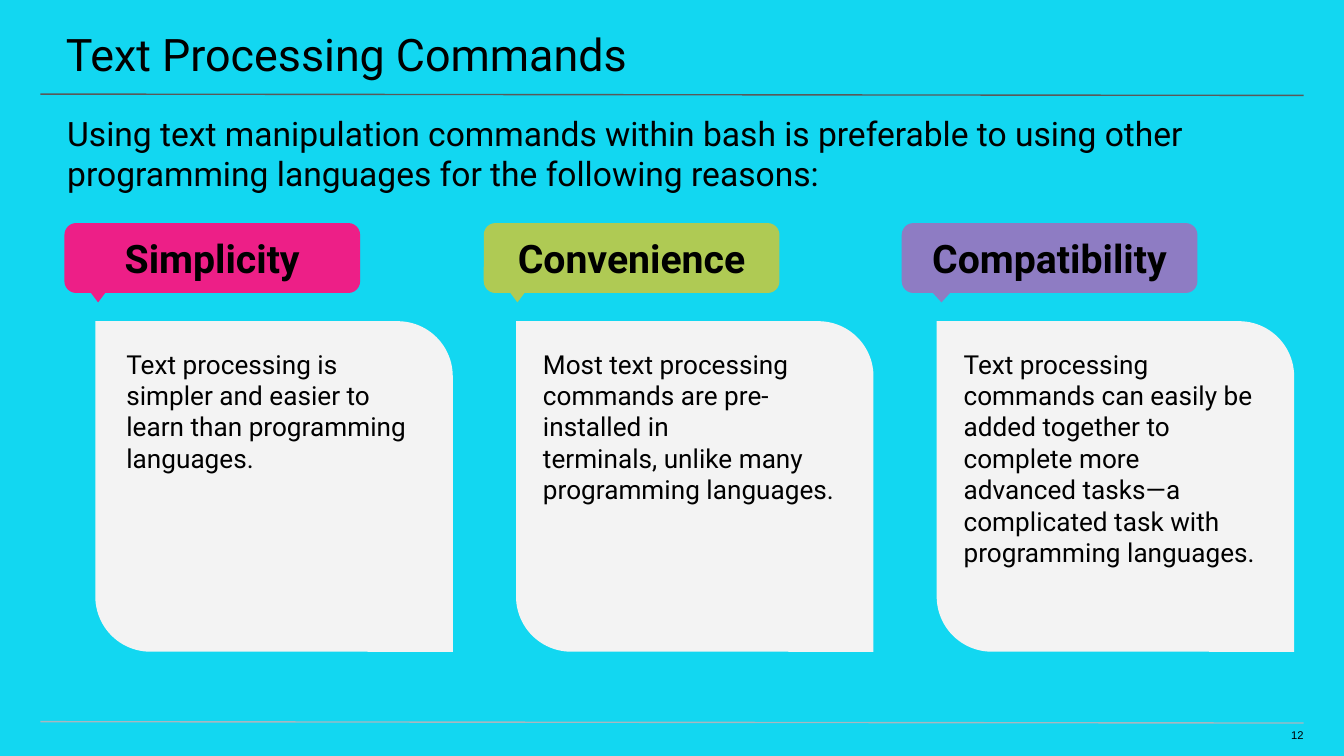
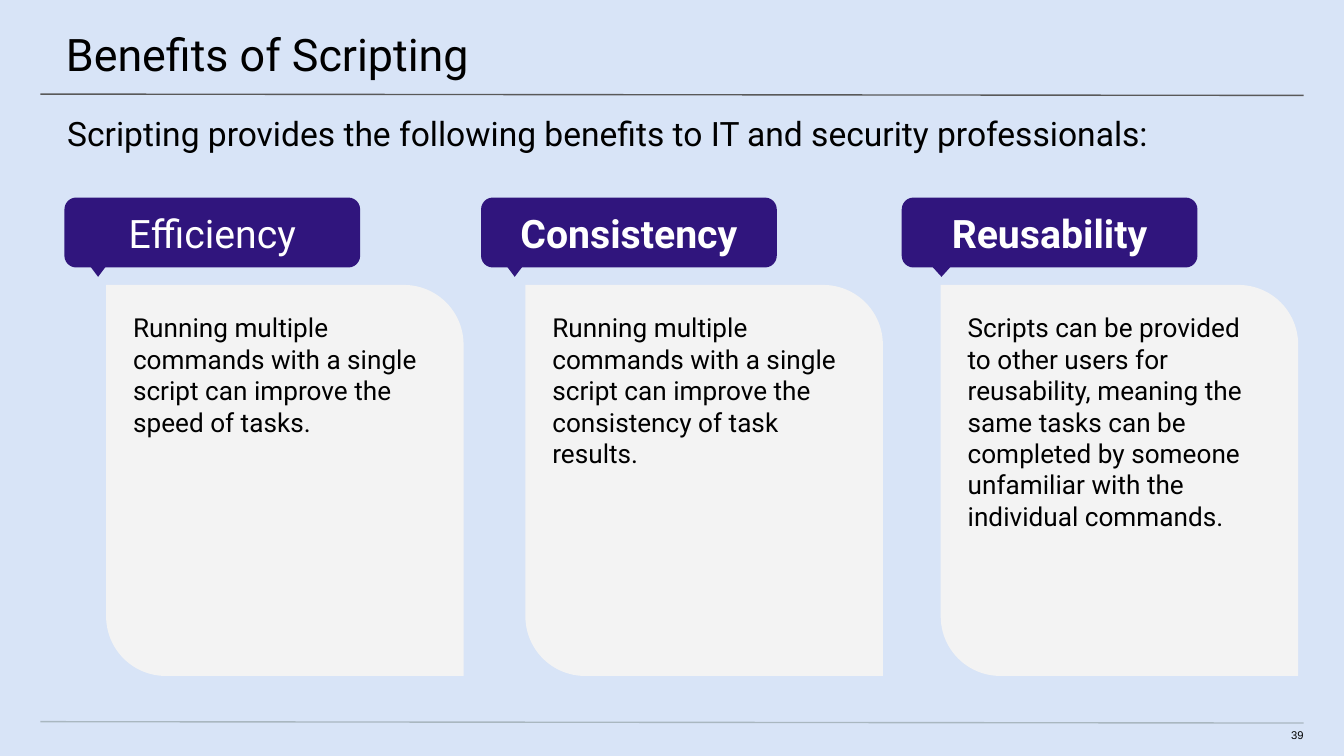
import pptx
import pptx.util
import pptx.dml.color
import pptx.enum.shapes
import pptx.enum.text
from lxml import etree

Inches = pptx.util.Inches
SHAPE = pptx.enum.shapes.MSO_SHAPE
ALIGN = pptx.enum.text.PP_ALIGN
ANCHOR = pptx.enum.text.MSO_ANCHOR
A = "{http://schemas.openxmlformats.org/drawingml/2006/main}"

COLORS = {
    "cyan": "12D7F1", "pale": "D8E4F7", "pink": "ED1F87", "green": "AFCA54",
    "violet": "8E7CC3", "navy": "30157D", "card": "F3F3F3", "black": "000000",
    "white": "FFFFFF", "rule": "595959", "foot": "A9B7C0",
}
RULES = [(0.7, "rule"), (5.37, "foot")]
TIPS = [(0.13, 0.24), (0.13, 0.24), (0.15, 0.29)]
SLIDES = [
    {
        "title": "Text Processing Commands",
        "lead": "Using text manipulation commands within bash is preferable to "
                "using other programming languages for the following reasons:",
        "page": "12", "back": "cyan", "ink": "black",
        "tag_top": 1.66, "card_top": 2.39, "card_high": 2.46,
        "columns": [
            {"tag": "Simplicity", "fill": "pink", "bold": True,
             "tag_x": 0.48, "card_x": 0.71, "text_x": 0.74,
             "text": "Text processing is simpler and easier to learn than "
                     "programming languages."},
            {"tag": "Convenience", "fill": "green", "bold": True,
             "tag_x": 3.6, "card_x": 3.84, "text_x": 3.84,
             "text": "Most text processing commands are pre-installed in \v"
                     "terminals, unlike many programming languages."},
            {"tag": "Compatibility", "fill": "violet", "bold": True,
             "tag_x": 6.71, "card_x": 6.97, "text_x": 6.97,
             "text": "Text processing commands can easily be added together to "
                     "complete more advanced tasks—a complicated task with "
                     "programming languages."},
        ],
    },
    {
        "title": "Benefits of Scripting",
        "lead": "Scripting provides the following benefits to IT and security "
                "professionals:",
        "page": "39", "back": "pale", "ink": "white",
        "tag_top": 1.47, "card_top": 2.12, "card_high": 2.91,
        "columns": [
            {"tag": "Efficiency", "fill": "navy", "bold": False,
             "tag_x": 0.48, "card_x": 0.79, "text_x": 0.79,
             "text": "Running multiple commands with a single script can "
                     "improve the speed of tasks."},
            {"tag": "Consistency", "fill": "navy", "bold": True,
             "tag_x": 3.58, "card_x": 3.91, "text_x": 3.91,
             "text": "Running multiple commands with a single script can "
                     "improve the consistency of task results."},
            {"tag": "Reusability", "fill": "navy", "bold": True,
             "tag_x": 6.71, "card_x": 7, "text_x": 7,
             "text": "Scripts can be provided to other users for reusability, "
                     "meaning the same tasks can be completed by someone "
                     "unfamiliar with the individual commands."},
        ],
    },
]


def rgb(name):
    return pptx.dml.color.RGBColor.from_string(COLORS[name])


def place(shape, box):
    shape.left, shape.top, shape.width, shape.height = map(Inches, box)


def write(shape, text, size, pads, color="black", bold=False,
          align=ALIGN.LEFT, anchor=ANCHOR.TOP, face="Roboto"):
    frame = shape.text_frame
    frame.text = text
    frame.word_wrap = True
    frame.auto_size = pptx.enum.text.MSO_AUTO_SIZE.NONE
    frame.vertical_anchor = anchor
    (frame.margin_left, frame.margin_top,
     frame.margin_right, frame.margin_bottom) = map(Inches, pads)
    para = frame.paragraphs[0]
    para.alignment = align
    para.space_before = pptx.util.Pt(0)
    props = para._p.get_or_add_pPr()
    props.set("marL", "0")
    props.set("indent", "0")
    etree.SubElement(props, A + "buNone")
    for run in para.runs:
        run.font.name = face
        run.font.size = pptx.util.Pt(size)
        run.font.bold = bold
        run.font.color.rgb = rgb(color)


def fill_holder(holder, box, text, size, pads):
    place(holder, box)
    write(holder, text, size, pads)
    holder._element.getparent().append(holder._element)


def add_solid(shapes, kind, box, fill):
    shape = shapes.add_shape(kind, *map(Inches, box))
    shape.shadow.inherit = False
    shape.fill.solid()
    shape.fill.fore_color.rgb = rgb(fill)
    shape.line.fill.background()
    return shape


def add_rule(slide, top, color):
    rule = slide.shapes.add_connector(
        pptx.enum.shapes.MSO_CONNECTOR.STRAIGHT,
        *map(Inches, (0.3, top, 9.7, top + 0.01)))
    rule.line.color.rgb = rgb(color)
    rule.line.width = pptx.util.Pt(0.75)
    etree.SubElement(rule._element.spPr, A + "effectLst")


def add_card(slide, data, col, holder):
    top, high = data["card_top"], data["card_high"]
    card = add_solid(slide.shapes, SHAPE.ROUND_2_DIAG_RECTANGLE,
                     (col["card_x"], top, 2.66, high), "card")
    card.adjustments[0] = 0.167
    card.adjustments[1] = 0
    card._element.spPr.find(A + "xfrm").set("flipH", "1")
    fill_holder(holder, (col["text_x"], top, 2.59, high), col["text"], 14, [0.2] * 4)


def add_tag(slide, data, col, tip_at):
    group = slide.shapes.add_group_shape()
    left, top = col["tag_x"], data["tag_top"]
    tag = add_solid(group.shapes, SHAPE.ROUNDED_RECTANGLE,
                    (left, top, 2.2, 0.52), col["fill"])
    tag.adjustments[0] = 0.167
    write(tag, col["tag"], 21, [0.1] * 4, data["ink"], col["bold"],
          ALIGN.CENTER, ANCHOR.MIDDLE)
    shift, wide = tip_at
    tip = add_solid(group.shapes, SHAPE.FLOWCHART_EXTRACT,
                    (left + shift, top + 0.43, wide, 0.16), col["fill"])
    tip.rotation = 180


def add_slide(deck, data):
    slide = deck.slides.add_slide(deck.slide_layouts.get_by_name("Comparison"))
    slide.background.fill.solid()
    slide.background.fill.fore_color.rgb = rgb(data["back"])
    title, lead, *bodies = slide.placeholders
    for top, color in RULES:
        add_rule(slide, top, color)
    fill_holder(title, (-0.01, 0, 10.03, 0.58), data["title"], 24, (0.5, 0.2, 0.3, 0.1))
    fill_holder(lead, (0, 0.74, 10, 0.4), data["lead"], 18, (0.5, 0.1, 0.5, 0))
    for col, holder, tip_at in zip(data["columns"], bodies, TIPS):
        add_card(slide, data, col, holder)
        add_tag(slide, data, col, tip_at)
    page = slide.shapes.add_textbox(*map(Inches, (9.41, 5.42, 0.29, 0.12)))
    write(page, data["page"], 6, (0, 0, 0, 0.1), align=ALIGN.RIGHT, face="Arial")


def main():
    deck = pptx.Presentation()
    deck.slide_width = Inches(10)
    deck.slide_height = deck.slide_width * 9 // 16
    for data in SLIDES:
        add_slide(deck, data)
    deck.save("out.pptx")


if __name__ == "__main__":
    main()
